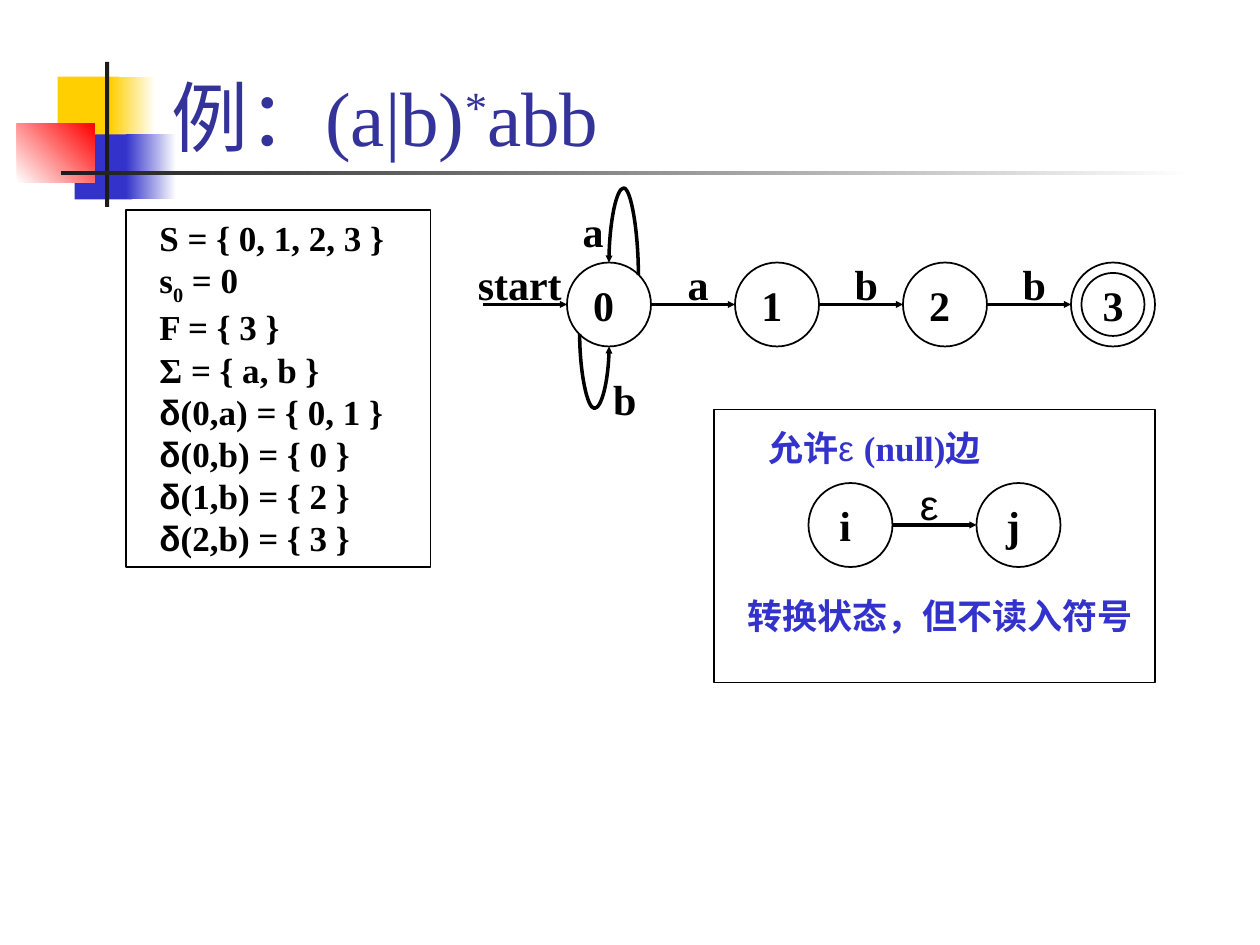
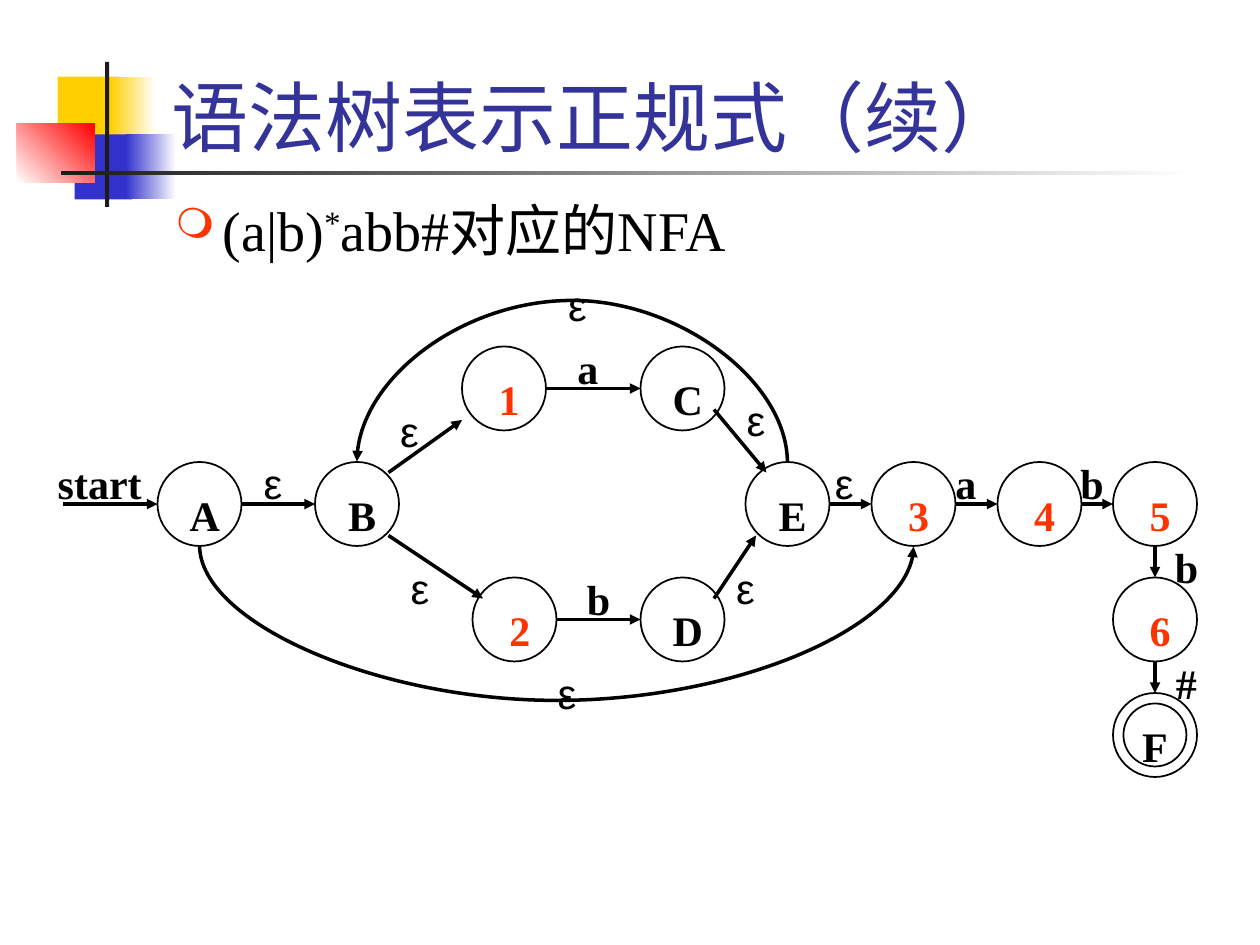
from dataclasses import dataclass
from typing import NamedTuple

import pptx
import pptx.dml.color
import pptx.enum.shapes
import pptx.enum.text
import pptx.oxml
import pptx.oxml.ns
import pptx.util

SHAPES = pptx.enum.shapes.MSO_SHAPE
CONNECTORS = pptx.enum.shapes.MSO_CONNECTOR
ALIGN = pptx.enum.text.PP_ALIGN
ANCHOR = pptx.enum.text.MSO_ANCHOR
COLUMNS, ROWS = 120, 90  # twelve grid units to the inch
STATE = 8  # diameter of a state
RING_GAP = 1  # between the two rings of a final state


@dataclass(frozen=True)
class Theme:
    serif: str = "Times New Roman"
    sans: str = "Arial"
    title: str = "333399"
    ink: str = "000000"
    blue: str = "3333CC"
    red: str = "FF3300"
    yellow: str = "FFCF01"
    bright_red: str = "FF0000"
    charcoal: str = "1C1C1C"
    white: str = "FFFFFF"
    title_size: int = 44
    body_size: int = 32
    label_size: int = 24
    note_size: int = 20
    outline: float = 1
    arrow: float = 2


THEME = Theme()


class Point(NamedTuple):
    column: float
    row: float


class Box(NamedTuple):
    column: float
    row: float
    width: float
    height: float


class Run(NamedTuple):
    text: str
    font: str = THEME.serif
    bold: bool = False
    baseline: int = 0


class Block(NamedTuple):
    box: Box
    start: str
    end: str | None = None
    angle: float = 0


@dataclass(frozen=True)
class State:
    name: str
    column: float
    row: float
    color: str = THEME.ink
    final: bool = False

    def at(self, across: float, down: float) -> Point:
        """Point at a share of the state's width and height."""
        return Point(self.column + across * STATE, self.row + down * STATE)


class Arc(NamedTuple):
    start: Point
    end: Point
    depth: float


class Label(NamedTuple):
    text: str
    center: float
    row: float


@dataclass(frozen=True)
class Machine:
    states: list[State]
    links: list[str]  # pairs of state names, joined side to side
    arrows: list[tuple[Point, Point]]
    arcs: list[Arc]
    labels: list[Label]
    name_offset: Point
    head: str


BAND = [
    Block(Box(5.5, 7.3, 5.8, 6.2), THEME.yellow),
    Block(Box(10.5, 7.3, 4.3, 6.2), THEME.yellow, THEME.white),
    Block(Box(7.1, 12.8, 5.5, 6.2), THEME.blue),
    Block(Box(12, 12.8, 4.8, 6.2), THEME.blue, THEME.white),
    Block(Box(1.6, 11.8, 7.4, 5.6), THEME.white, THEME.bright_red, 45),
    Block(Box(10, 5.9, 0.4, 13.8), THEME.charcoal),
    Block(Box(5.8, 16.3, 108, 0.4), THEME.charcoal, THEME.white),
]


def new_presentation():
    presentation = pptx.Presentation()
    presentation.slide_width = pptx.util.Inches(10)
    presentation.slide_height = pptx.util.Inches(7.5)
    return presentation


def grid(*values: float) -> list[int]:
    return [pptx.util.Inches(value * 10 / COLUMNS) for value in values]


def rgb(color: str) -> pptx.dml.color.RGBColor:
    return pptx.dml.color.RGBColor.from_string(color)


def add_child(parent, tag: str, **attributes):
    child = pptx.oxml.parse_xml(f"<{tag} {pptx.oxml.ns.nsdecls('a')}/>")
    for key, value in attributes.items():
        child.set(key, str(value))
    parent.append(child)
    return child


# Text
def add_runs(paragraph, runs: list[Run], size: int, color: str) -> None:
    for item in runs:
        for number, line in enumerate(item.text.split("\n")):
            if number:
                paragraph.add_line_break()
            if not line:
                continue
            run = paragraph.add_run()
            run.text = line
            run.font.name, run.font.bold = item.font, item.bold
            run.font.size = pptx.util.Pt(size)
            run.font.color.rgb = rgb(color)
            if item.baseline:
                run.font._element.set("baseline", str(item.baseline * 1000))


def add_text(slide, box: Box, runs: list[Run], size: int, color: str, align=ALIGN.LEFT):
    frame = slide.shapes.add_textbox(*grid(*box)).text_frame
    frame.word_wrap = True
    paragraph = frame.paragraphs[0]
    paragraph.alignment = align
    add_runs(paragraph, runs, size, color)
    return paragraph


def add_label(slide, text: str, center: float, row: float, color: str = THEME.ink) -> None:
    epsilon = text == "ε"
    run = Run(text, THEME.sans if epsilon else THEME.serif, not epsilon)
    width = 13 if len(text) > 1 else 6
    add_text(slide, Box(center - width / 2, row, width, 6), [run],
             THEME.label_size, color, ALIGN.CENTER)


# Shapes and lines
def add_outline(slide, kind, box: Box) -> None:
    shape = slide.shapes.add_shape(kind, *grid(*box))
    shape.shadow.inherit = False
    shape.fill.background()
    shape.line.color.rgb = rgb(THEME.ink)
    shape.line.width = pptx.util.Pt(THEME.outline)


def add_arrow(slide, start: Point, end: Point, head: str, kind=CONNECTORS.STRAIGHT):
    connector = slide.shapes.add_connector(kind, *grid(*start, *end))
    connector.line.color.rgb = rgb(THEME.ink)
    connector.line.width = pptx.util.Pt(THEME.arrow)
    add_child(connector.line._get_or_add_ln(), "a:tailEnd", type="triangle", w=head, len=head)
    add_child(connector._element.spPr, "a:effectLst")
    return connector


def add_arc(slide, arc: Arc, head: str) -> None:
    """Arcs running left bulge upwards, those running right bulge downwards."""
    connector = add_arrow(slide, arc.start, arc.end, head, CONNECTORS.CURVE)
    span = abs(arc.end.column - arc.start.column)
    rise = max(abs(arc.end.row - arc.start.row), 0.12)
    center = Point((arc.start.column + arc.end.column) / 2, (arc.start.row + arc.end.row) / 2)
    connector.left, connector.top, connector.width, connector.height = grid(
        center.column - rise / 2, center.row - span / 2, rise, span)
    properties = connector._element.spPr
    transform = properties.xfrm
    transform.attrib.pop("flipV", None)
    transform.set("flipH", "1")
    transform.set("rot", str((90 if arc.end.column < arc.start.column else 270) * 60000))
    guides = properties.find(pptx.oxml.ns.qn("a:prstGeom")).get_or_add_avLst()
    add_child(guides, "a:gd", name="adj1", fmla=f"val {round(arc.depth / rise * 100000)}")


def add_band(slide) -> None:
    for block in BAND:
        shape = slide.shapes.add_shape(SHAPES.RECTANGLE, *grid(*block.box))
        shape.shadow.inherit = False
        shape.line.fill.background()
        if block.end is None:
            shape.fill.solid()
            shape.fill.fore_color.rgb = rgb(block.start)
            continue
        shape.fill.gradient()
        shape.fill.gradient_angle = block.angle
        for stop, color in zip(shape.fill.gradient_stops, (block.start, block.end)):
            stop.color.rgb = rgb(color)


def add_slide(presentation, title: list[Run]):
    slide = presentation.slides.add_slide(presentation.slide_layouts[5])
    add_band(slide)
    shape = slide.shapes.title
    shape.left, shape.top, shape.width, shape.height = grid(15.1, 1, 102.2, 15)
    frame = shape.text_frame
    frame.auto_size = pptx.enum.text.MSO_AUTO_SIZE.NONE
    frame.vertical_anchor = ANCHOR.BOTTOM
    frame.paragraphs[0].alignment = ALIGN.LEFT
    add_runs(frame.paragraphs[0], title, THEME.title_size, THEME.title)
    return slide


def add_machine(slide, machine: Machine) -> None:
    states = {state.name: state for state in machine.states}
    for state in machine.states:
        for gap in (0, RING_GAP) if state.final else (0,):
            size = STATE - 2 * gap
            add_outline(slide, SHAPES.OVAL, Box(state.column + gap, state.row + gap, size, size))
        shift = STATE / 2 if state.final else machine.name_offset.column + 2.5
        add_label(slide, state.name, state.column + shift,
                  state.row + machine.name_offset.row, state.color)
    for first, second in machine.links:
        source, target = states[first], states[second]
        if source.row == target.row:
            add_arrow(slide, source.at(1, 0.5), target.at(0, 0.5), machine.head)
        else:
            add_arrow(slide, source.at(0.5, 1), target.at(0.5, 0), machine.head)
    for start, end in machine.arrows:
        add_arrow(slide, start, end, machine.head)
    for arc in machine.arcs:
        add_arc(slide, arc, machine.head)
    for label in machine.labels:
        add_label(slide, *label)


# Slide 1: definition, automaton and epsilon edge
def build_example(presentation) -> None:
    slide = add_slide(presentation, [Run("例：(a|b)"), Run("*", baseline=30), Run("abb")])
    definition = [Run("S = { 0, 1, 2, 3 }\ns", bold=True), Run("0", bold=True, baseline=-25),
                  Run(" = 0\nF = { 3 }\nΣ = { a, b }", bold=True)]
    for move in ("(0,a) = { 0, 1 }", "(0,b) = { 0 }", "(1,b) = { 2 }", "(2,b) = { 3 }"):
        definition += [Run("\nδ", THEME.sans, True), Run(move, bold=True)]
    add_text(slide, Box(14, 20, 27, 33.2), definition, THEME.note_size, THEME.ink)
    add_outline(slide, SHAPES.RECTANGLE, Box(12, 20, 29, 34))

    chain = [State(str(n), 54 + 16 * n, 25, final=n == 3) for n in range(4)]
    first = chain[0]
    loops = [Arc(first.at(0.85, 0.15), first.at(0.5, 0), 8.3),
             Arc(first.at(0.15, 0.85), first.at(0.5, 1), 7.1)]
    labels = [Label(text, 66.5 + 16 * n, 24) for n, text in enumerate("abb")]
    labels += [Label("start", 49.5, 24), Label("a", 56.5, 19), Label("b", 59.5, 35)]
    add_machine(slide, Machine(chain, ["01", "12", "23"], [(Point(46, 29), first.at(0, 0.5))],
                               loops, labels, Point(1, 1), "sm"))

    add_text(slide, Box(72, 40, 36, 5.2),
             [Run("允许", bold=True), Run("ε ", THEME.sans), Run("(null)边", bold=True)],
             THEME.note_size, THEME.blue)
    add_machine(slide, Machine([State("i", 77, 46), State("j", 93, 46)], ["ij"], [], [],
                               [Label("ε", 88.5, 45)], Point(1, 1), "sm"))
    add_text(slide, Box(70, 56, 40, 5.2), [Run("转换状态，但不读入符号", bold=True)],
             THEME.note_size, THEME.blue)
    add_outline(slide, SHAPES.RECTANGLE, Box(68, 39, 42, 26))


# Slide 2: NFA of the whole expression
def build_nfa(presentation) -> None:
    slide = add_slide(presentation, [Run("语法树表示正规式（续）")])
    places = {"A": (15, 44), "B": (30, 44), "1": (44, 33), "C": (61, 33), "2": (45, 55),
              "D": (61, 55), "E": (71, 44), "3": (83, 44), "4": (95, 44), "5": (106, 44),
              "6": (106, 55), "F": (106, 66)}
    states = {name: State(name, *place, THEME.red if name.isdigit() else THEME.ink, name == "F")
              for name, place in places.items()}
    arrows = [(Point(6, 48), states["A"].at(0, 0.5)),
              (Point(37, 45), Point(44, 40)), (Point(37, 51), Point(46, 57)),
              (Point(68, 39), Point(73, 45)), (Point(68, 57), Point(72, 51))]
    arcs = [Arc(states["A"].at(0.5, 1), states["3"].at(0.5, 1), 15),
            Arc(states["E"].at(0.5, 0), states["B"].at(0.5, 0), 15.7)]
    epsilons = [(26, 43), (39, 38), (40, 53), (54, 63), (55, 26), (72, 37), (71, 53), (80.4, 43)]
    labels = [Label("ε", *place) for place in epsilons]
    labels += [Label("start", 9.5, 43), Label("a", 92, 43), Label("a", 56, 32),
               Label("b", 57, 54), Label("b", 104, 43), Label("b", 113, 51), Label("#", 113, 62)]
    links = ["AB", "1C", "2D", "E3", "34", "45", "56", "6F"]
    add_machine(slide, Machine(list(states.values()), links, arrows, arcs, labels,
                               Point(2, 2), "med"))

    heading = add_text(slide, Box(15.5, 18, 102, 10), [], THEME.body_size, THEME.ink)
    properties = heading._p.get_or_add_pPr()
    indent = pptx.util.Inches(0.38)
    properties.set("marL", str(indent))
    properties.set("indent", str(-indent))
    add_child(add_child(properties, "a:buClr"), "a:srgbClr", val=THEME.red)
    add_child(properties, "a:buSzPct", val=75000)
    add_child(properties, "a:buChar", char="❍")
    add_runs(heading, [Run("(a|b)"), Run("*", baseline=30), Run("abb#对应的NFA")],
             THEME.body_size, THEME.ink)


def main() -> None:
    presentation = new_presentation()
    build_example(presentation)
    build_nfa(presentation)
    presentation.save("out.pptx")


if __name__ == "__main__":
    main()
